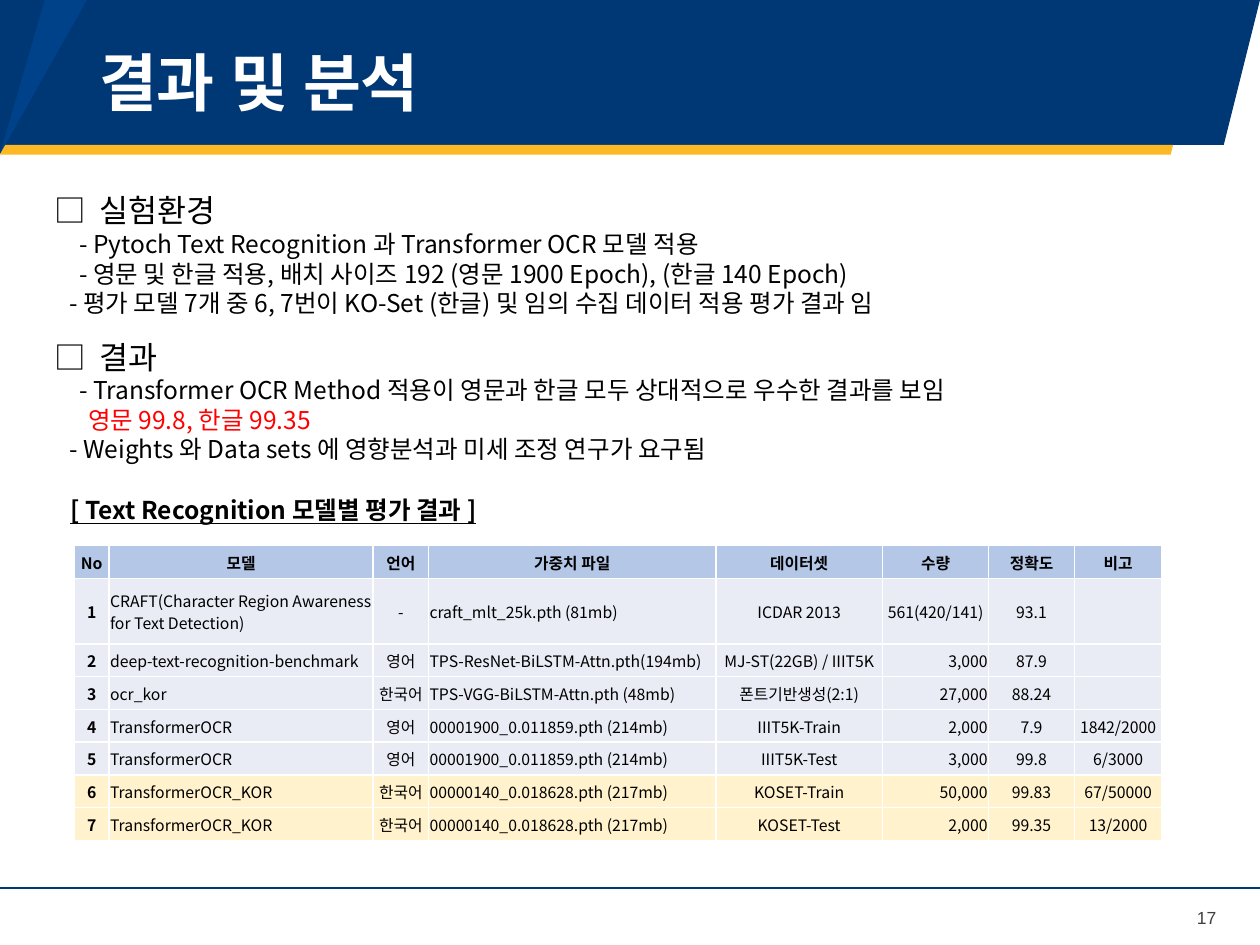
import pptx
import pptx.util
import pptx.dml.color
import pptx.enum.shapes
import pptx.enum.text
import pptx.oxml.ns
import lxml.etree

Cm, Pt = pptx.util.Cm, pptx.util.Pt
RGBColor = pptx.dml.color.RGBColor
Shape = pptx.enum.shapes.MSO_SHAPE
Align = pptx.enum.text.PP_ALIGN
Anchor = pptx.enum.text.MSO_ANCHOR
qn = pptx.oxml.ns.qn

NAVY = RGBColor(0x00, 0x37, 0x75)
BLUE = RGBColor(0x00, 0x42, 0x8A)
GOLD = RGBColor(0xFD, 0xB8, 0x26)
HEAD = RGBColor(0xB4, 0xC7, 0xE7)
PALE = RGBColor(0xE9, 0xEB, 0xF5)
CREAM = RGBColor(0xFF, 0xF2, 0xCC)
BLACK = RGBColor(0, 0, 0)
WHITE = RGBColor(0xFF, 0xFF, 0xFF)
GRAY = RGBColor(0x40, 0x40, 0x40)
RED = RGBColor(0xFF, 0, 0)
NOTO = "Noto Sans CJK KR"


def style(para, size, color=BLACK, bold=False, name=NOTO):
    font = para.font
    font.size, font.bold, font.name = Pt(size), bold, name
    font.color.rgb = color
    props = para._p.pPr.find(qn("a:defRPr"))
    lxml.etree.SubElement(props, qn("a:ea")).set("typeface", name)
    return props


deck = pptx.Presentation()
deck.slide_width, deck.slide_height = Cm(25.4), Cm(19.05)
slide = deck.slides.add_slide(deck.slide_layouts[3])
shapes = slide.shapes

# Header band and corner wedges
for kind, left, top, width, height, turn, color in [
    (Shape.PARALLELOGRAM, 0, 0, 25.4, 2.92, 0, NAVY),
    (Shape.PARALLELOGRAM, 0, 2.92, 23.65, 0.2, 0, GOLD),
    (Shape.RIGHT_TRIANGLE, -0.67, 0.67, 3.1, 1.75, 90, BLUE),
    (Shape.RIGHT_TRIANGLE, -1.1, 1.1, 3.1, 0.9, 90, NAVY),
]:
    part = shapes.add_shape(kind, Cm(left), Cm(top), Cm(width), Cm(height))
    part.rotation = turn
    part.shadow.inherit = False
    part.fill.solid()
    part.fill.fore_color.rgb = color
    part.line.fill.background()

# Footer rule and page number
rule = shapes.add_connector(
    pptx.enum.shapes.MSO_CONNECTOR.STRAIGHT, 0, Cm(17.9), Cm(25.4), Cm(17.9))
rule.line.color.rgb = NAVY
rule.line.width = Pt(1)
lxml.etree.SubElement(rule._element.spPr, qn("a:effectLst"))

page = shapes.add_textbox(Cm(23.14), Cm(17.98), Cm(1.63), Cm(1.02)).text_frame
page.word_wrap = True
page.vertical_anchor = Anchor.MIDDLE
page.text = "17"
page.paragraphs[0].alignment = Align.RIGHT
style(page.paragraphs[0], 10, GRAY, name="Arial")

# Placeholders go in front of the header
for holder in list(slide.placeholders):
    shapes._spTree.append(holder._element)

# Title
title = shapes.title
title.left, title.top, title.width, title.height = Cm(1.75), Cm(0.38), Cm(21.9), Cm(2.51)
frame = title.text_frame
frame.text = "결과 및 분석"
frame.vertical_anchor = Anchor.MIDDLE
frame.auto_size = pptx.enum.text.MSO_AUTO_SIZE.NONE
frame.paragraphs[0].alignment = Align.LEFT
style(frame.paragraphs[0], 36, WHITE, True, "Arial").set("spc", "-50")

# Lists: heading, then lines of (indent, text, colour)
lists = [
    (1, 3.73, 20.27, "실험환경", [
        (0.5, "- Pytoch Text Recognition 과 Transformer OCR 모델 적용", BLACK),
        (0.5, "- 영문 및 한글 적용, 배치 사이즈 192 (영문 1900 Epoch), (한글 140 Epoch)", BLACK),
        (0.3, "- 평가 모델 7개 중 6, 7번이 KO-Set (한글) 및 임의 수집 데이터 적용 평가 결과 임", BLACK)]),
    (2, 6.68, 22.81, "결과", [
        (0.5, "- Transformer OCR Method 적용이 영문과 한글 모두 상대적으로 우수한 결과를 보임", BLACK),
        (0.68, "영문 99.8, 한글 99.35", RED),
        (0.3, "- Weights 와 Data sets 에 영향분석과 미세 조정 연구가 요구됨", BLACK)]),
]
for index, top, width, head, lines in lists:
    body = slide.placeholders[index]
    body.left, body.top, body.width, body.height = Cm(0.84), Cm(top), Cm(width), Cm(2.82)
    frame = body.text_frame
    frame.auto_size = pptx.enum.text.MSO_AUTO_SIZE.NONE
    rows = [(0.92, "□\t" + head, BLACK)] + lines
    frame.text = "\n".join(text for _, text, _ in rows)
    for num, (para, (indent, _, color)) in enumerate(zip(frame.paragraphs, rows)):
        size = 14 if num else 18
        para.space_before = Pt(0)
        para.line_spacing = Pt(size * 1.2)
        props = para._p.get_or_add_pPr()
        props.set("marL", str(Cm(indent)))
        props.set("indent", str(0 if num else -Cm(indent)))
        lxml.etree.SubElement(props, qn("a:buNone"))
        style(para, size, color)

# Results table
ocr, kor = "TransformerOCR", "TransformerOCR_KOR"
eng, han = "영어", "한국어"
base, tuned = "00001900_0.011859.pth (214mb)", "00000140_0.018628.pth (217mb)"
data = [
    ("No", "모델", "언어", "가중치 파일", "데이터셋", "수량", "정확도", "비고"),
    ("1", "CRAFT(Character Region Awareness for Text Detection)", "-",
     "craft_mlt_25k.pth (81mb)", "ICDAR 2013", "561(420/141)", "93.1", ""),
    ("2", "deep-text-recognition-benchmark", eng,
     "TPS-ResNet-BiLSTM-Attn.pth(194mb)", "MJ-ST(22GB) / IIIT5K", "3,000", "87.9", ""),
    ("3", "ocr_kor", han, "TPS-VGG-BiLSTM-Attn.pth (48mb)",
     "폰트기반생성(2:1)", "27,000", "88.24", ""),
    ("4", ocr, eng, base, "IIIT5K-Train", "2,000", "7.9", "1842/2000"),
    ("5", ocr, eng, base, "IIIT5K-Test", "3,000", "99.8", "6/3000"),
    ("6", kor, han, tuned, "KOSET-Train", "50,000", "99.83", "67/50000"),
    ("7", kor, han, tuned, "KOSET-Test", "2,000", "99.35", "13/2000"),
]
wide = [0.7, 5.32, 1.12, 5.79, 3.36, 2.14, 1.73, 1.76]
table = shapes.add_table(
    len(data), len(wide), Cm(1.5), Cm(11), Cm(sum(wide)), Cm(5.94)).table
for col, width in zip(table.columns, wide):
    col.width = Cm(width)
for r, row in enumerate(data):
    table.rows[r].height = Cm(1.32 if r == 1 else 0.66)
    for c, text in enumerate(row):
        cell = table.cell(r, c)
        cell.text = text
        cell.vertical_anchor = Anchor.MIDDLE
        cell.margin_left = cell.margin_right = cell.margin_top = Cm(0.02)
        cell.margin_bottom = 0
        para = cell.text_frame.paragraphs[0]
        para.alignment = Align.CENTER
        if r and c in (1, 3):
            para.alignment = Align.LEFT
        elif r > 1 and c == 5:
            para.alignment = Align.RIGHT
        style(para, 9, bold=r == 0 or c == 0)
        if not text:
            lxml.etree.SubElement(para._p, qn("a:endParaRPr")).set("sz", "900")
        # White borders come before the fill
        props = cell._tc.get_or_add_tcPr()
        for side in ("lnL", "lnR", "lnT", "lnB"):
            edge = lxml.etree.SubElement(props, qn("a:" + side), w=str(Pt(1)))
            paint = lxml.etree.SubElement(edge, qn("a:solidFill"))
            lxml.etree.SubElement(paint, qn("a:srgbClr"), val=str(WHITE))
        cell.fill.solid()
        cell.fill.fore_color.rgb = HEAD if r == 0 else CREAM if r > 5 else PALE

# Table caption
label = shapes.add_textbox(Cm(1.17), Cm(9.86), Cm(11.07), Cm(0.86)).text_frame
label.word_wrap = True
label.text = "[ Text Recognition 모델별 평가 결과 ]"
para = label.paragraphs[0]
para.line_spacing = Pt(16.8)
style(para, 14, bold=True)
para.font.underline = True

deck.save("out.pptx")
